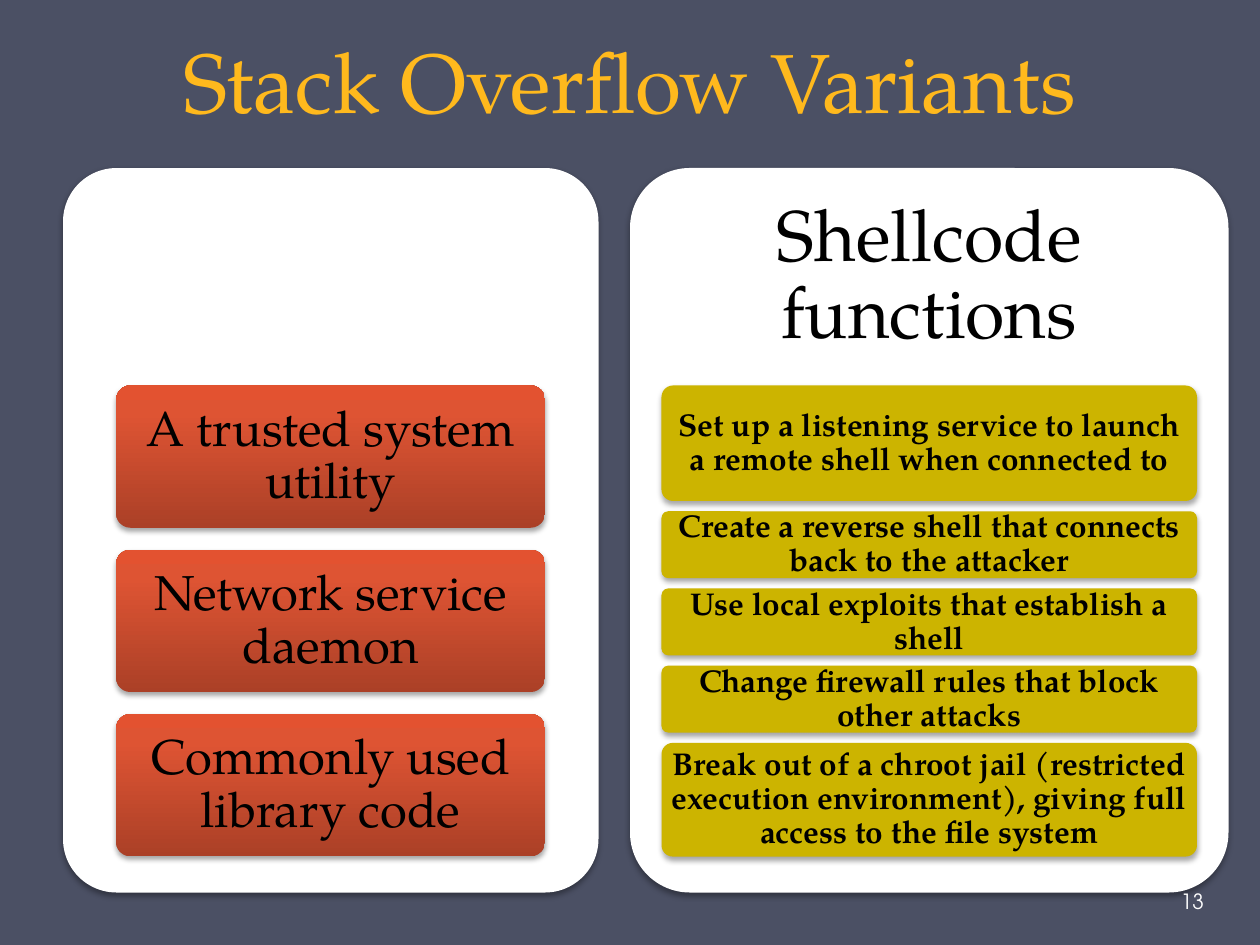
from copy import deepcopy

from pptx import Presentation
from pptx.dml.color import RGBColor
from pptx.enum.shapes import MSO_SHAPE
from pptx.enum.text import MSO_ANCHOR, PP_ALIGN
from pptx.oxml import parse_xml
from pptx.oxml.ns import nsdecls, qn
from pptx.util import Pt


class Theme:
    back = "4B5064"
    gold = "FFB91D"
    white = "FFFFFF"
    black = "000000"
    olive = "CCB400"
    reds = [(0, "AB4027"), (0.8, "DE5433"), (1, "E35230")]
    serif = "TeX Gyre Pagella"
    sans = "TeX Gyre Adventor"
    title, head, large, small, page = 48, 41, 28, 18, 12


def write(shape, text, size, color=Theme.black, font=Theme.serif, bold=False,
          align=PP_ALIGN.CENTER, anchor=MSO_ANCHOR.MIDDLE, line=0.9,
          pad=(3.6, 2.9)):
    frame = shape.text_frame
    frame.word_wrap = True
    frame.vertical_anchor = anchor
    frame.margin_left = frame.margin_right = Pt(pad[0])
    frame.margin_top = frame.margin_bottom = Pt(pad[1])
    para = frame.paragraphs[0]
    para.alignment = align
    para.line_spacing = line
    run = para.add_run()
    run.text = text
    run.font.size = Pt(size)
    run.font.name = font
    run.font.bold = bold
    run.font.color.rgb = RGBColor.from_string(color)


def card(left, top, width, height, fill):
    """Add a rounded box with a soft shadow; fill is a colour or a list of stops."""
    box = slide.shapes.add_shape(MSO_SHAPE.ROUNDED_RECTANGLE,
                                 Pt(left), Pt(top), Pt(width), Pt(height))
    box.adjustments[0] = 0.1
    box.line.fill.background()
    if isinstance(fill, str):
        box.fill.solid()
        box.fill.fore_color.rgb = RGBColor.from_string(fill)
    else:
        box.fill.gradient()
        box.fill.gradient_angle = 90
        stops = box._element.spPr.find(".//" + qn("a:gsLst"))
        while len(stops) < len(fill):
            stops.append(deepcopy(stops[0]))
        for stop, (place, color) in zip(box.fill.gradient_stops, fill):
            stop.position = place
            stop.color.rgb = RGBColor.from_string(color)
    box.shadow.inherit = False
    box._element.spPr.find(qn("a:effectLst")).append(parse_xml(
        f'<a:outerShdw {nsdecls("a")} blurRad="{Pt(3.1)}" dist="{Pt(1.8)}" '
        'dir="5400000" rotWithShape="0"><a:srgbClr val="000000">'
        '<a:alpha val="35000"/></a:srgbClr></a:outerShdw>'))
    return box


deck = Presentation()
deck.slide_width, deck.slide_height = Pt(720), Pt(540)
slide = deck.slides.add_slide(deck.slide_layouts[5])
slide.background.fill.solid()
slide.background.fill.fore_color.rgb = RGBColor.from_string(Theme.back)

# Title
title = slide.shapes.title
title.left, title.top, title.width, title.height = Pt(0), Pt(-23.8), Pt(720), Pt(102.2)
write(title, "Stack Overflow Variants", Theme.title, Theme.gold,
      anchor=MSO_ANCHOR.BOTTOM, line=Pt(58), pad=(7.2, 3.6))

# Left panel: targets
first = 220.3
card(36, 96, 306, 414, Theme.white)
targets = ["A trusted system utility", "Network service daemon",
           "Commonly used library code"]
for row, text in enumerate(targets):
    box = card(66.4, first + row * 93.9, 245, 81.3, Theme.reds)
    write(box, text, Theme.large, pad=(5.8, 4.3))

# Right panel: shellcode functions
card(360, 96, 342, 414, Theme.white)
head = slide.shapes.add_textbox(Pt(360), Pt(96), Pt(342), Pt(124.2))
write(head, "Shellcode functions", Theme.head, pad=(12.2, 12.2))

tasks = [
    ("Set up a listening service to launch a remote shell when connected to", 66),
    ("Create a reverse shell that connects back to the attacker", 38.2),
    ("Use local exploits that establish a shell", 38.2),
    ("Change firewall rules that block other attacks", 38.2),
    ("Break out of a chroot jail (restricted execution environment), "
     "giving full access to the file system", 65),
]
top = first
for text, height in tasks:
    box = card(378, top, 306, height, Theme.olive)
    write(box, text, Theme.small, bold=True)
    top += height + 5.9

# Page number
page = slide.shapes.add_textbox(Pt(672.5), Pt(500.4), Pt(44), Pt(28.8))
write(page, "13", Theme.page, Theme.white, Theme.sans,
      align=PP_ALIGN.LEFT, line=1, pad=(2.2, 3.6))

deck.save("out.pptx")
